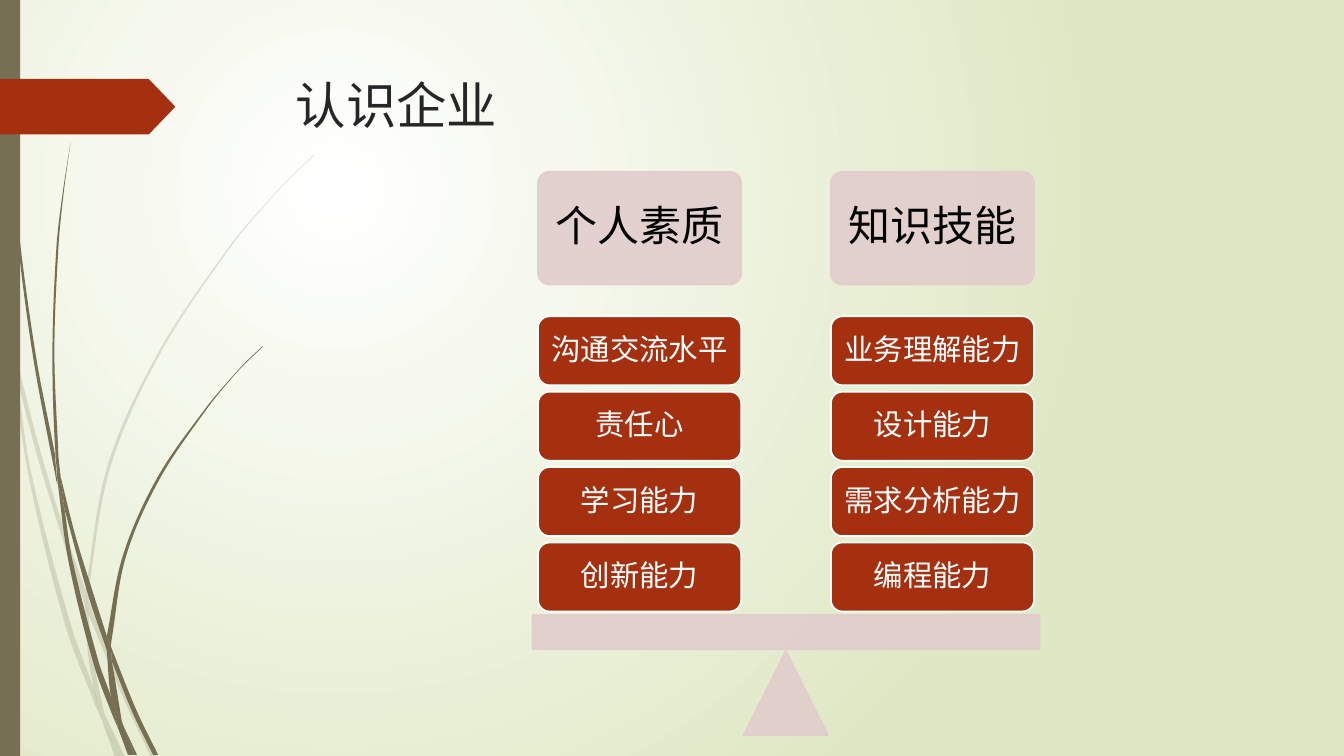
import lxml.etree
import pptx
import pptx.dml.color
import pptx.enum.shapes
import pptx.enum.text
import pptx.oxml
import pptx.oxml.ns
import pptx.util

Cm = pptx.util.Cm
Pt = pptx.util.Pt
Kind = pptx.enum.shapes.MSO_SHAPE
Align = pptx.enum.text.PP_ALIGN
Anchor = pptx.enum.text.MSO_ANCHOR

FONT = "Quicksand"
OLIVE, RUST, ROSE = "766F54", "A53010", "E1CDCC"
WHITE, BLACK, INK, LIME = "FFFFFF", "000000", "262626", "DFE8C4"

FINE = 100  # parts of one step of the stalk grid
UNIT = Cm(0.0254) / FINE

# Each piece of a stalk: one edge running out, the other running back.
PALE = [
    ([(11, 350), (9, 322), (0, 282)], [(0, 299), (10, 344)]),
    ([(14, 345), (36, 433), (62, 520), (85, 586)],
     [(84, 599), (58, 522), (36, 449), (17, 376)]),
    ([(88, 596), (92, 607), (127, 692), (155, 751)],
     [(150, 751), (123, 694), (88, 610)]),
    ([(105, 711), (119, 751)], [(124, 751)]),
    ([(11, 350), (28, 470), (65, 621), (92, 693), (101, 714)],
     [(99, 707), (93, 683), (70, 619), (31, 469), (17, 376)]),
    ([(84, 599), (87, 646), (93, 683), (96, 692), (105, 711)],
     [(103, 706), (91, 646), (88, 610), (88, 608)]),
    ([(312, 153), (289, 175), (268, 197), (228, 244), (158, 348), (107, 461),
      (85, 584), (85, 586)],
     [(88, 596), (88, 584), (110, 462), (160, 349), (229, 245), (268, 198),
      (290, 175), (312, 154)]),
    ([(101, 714), (114, 751)], [(119, 751)]),
    ([(88, 610), (88, 596)], [(85, 586), (84, 599)]),
    ([(93, 683), (99, 707), (101, 714), (119, 751)], [(105, 711), (96, 692)]),
]
DARK = [
    ([(3, 0), (4, 48), (7, 110), (17, 233), (33, 355), (56, 477), (57, 481)],
     [(55, 457), (55, 453), (36, 355), (19, 232), (8, 109), (5, 48), (4, 0)]),
    ([(60, 472), (75, 532), (93, 590), (106, 631)],
     [(106, 645), (88, 592), (64, 505)]),
    ([(110, 641), (113, 649), (136, 706), (157, 749)],
     [(152, 749), (132, 708), (111, 656)]),
    ([(57, 477), (68, 557), (93, 659), (111, 708), (117, 722)],
     [(116, 717), (110, 691), (98, 657), (72, 556), (64, 505)]),
    ([(70, 141), (62, 193), (56, 245), (52, 349), (55, 449), (60, 472)],
     [(58, 453), (54, 349), (58, 245), (63, 193), (70, 141)]),
    ([(122, 719), (133, 749)], [(136, 749)]),
    ([(57, 477), (64, 505)], [(60, 472), (55, 449)]),
    ([(260, 344), (245, 358), (231, 373), (204, 405), (156, 474), (122, 551),
      (106, 631)],
     [(110, 641), (111, 633), (125, 552), (158, 476), (205, 406), (231, 374),
      (245, 359), (261, 344)]),
    ([(117, 722), (127, 749)], [(131, 749)]),
    ([(106, 645), (110, 691), (116, 706), (122, 719)],
     [(121, 716), (111, 656), (109, 651)]),
    ([(106, 631), (106, 645)], [(111, 656), (110, 641)]),
    ([(110, 691), (116, 717), (117, 722), (130, 749)],
     [(133, 749), (122, 719), (116, 706)]),
]

STACKS = [
    ("个人素质", ["沟通交流水平", "责任心", "学习能力", "创新能力"]),
    ("知识技能", ["业务理解能力", "设计能力", "需求分析能力", "编程能力"]),
]


def rgb(code):
    return pptx.dml.color.RGBColor.from_string(code)


def apply(item, values):
    for name, value in values.items():
        setattr(item, name, value)


def fade(shape, share):
    """Make the fill and line of a shape partly clear."""
    for tint in shape._element.spPr.iter(pptx.oxml.ns.qn("a:srgbClr")):
        alpha = lxml.etree.SubElement(tint, pptx.oxml.ns.qn("a:alpha"))
        alpha.set("val", str(share * 1000))


def paint(shape, fill, line=None):
    shape.shadow.inherit = False
    shape.fill.solid()
    shape.fill.fore_color.rgb = rgb(fill)
    if line:
        shape.line.color.rgb = rgb(line)
        shape.line.width = Pt(1.25)
    else:
        shape.line.fill.background()


def block(slide, kind, box, fill, line=None):
    shape = slide.shapes.add_shape(kind, *map(Cm, box))
    paint(shape, fill, line)
    return shape


def write(shape, text, size, color, frame, para):
    apply(shape.text_frame, frame)
    line = shape.text_frame.paragraphs[0]
    line.text = text
    apply(line, para)
    apply(line.font, {"size": Pt(size), "name": FONT})
    line.font.color.rgb = rgb(color)


def label(shape, text, size, color, gap):
    sides = ("left", "right", "top", "bottom")
    frame = {f"margin_{side}": Cm(gap) for side in sides}
    frame.update(word_wrap=True, vertical_anchor=Anchor.MIDDLE)
    write(shape, text, size, color, frame,
          {"alignment": Align.CENTER, "line_spacing": 0.9})


def curve(knots):
    """Bezier points, three a span, of a smooth curve through the knots."""
    ends = [complex(*knot) for knot in (knots[0], *knots, knots[-1])]
    dots = []
    for a, b, c, d in zip(ends, ends[1:], ends[2:], ends[3:]):
        reach = abs(c - b) / 3
        dots += [b + reach * (c - a) / abs(c - a),
                 c - reach * (d - b) / abs(d - b), c]
    return [(dot.real * FINE, dot.imag * FINE) for dot in dots]


def stalk(slide, out, back):
    dots = curve(out) + curve([out[-1], back[0]]) + curve(back)
    pen = slide.shapes.build_freeform(*(FINE * v for v in out[0]), scale=UNIT)
    pen.add_line_segments(dots, close=True)
    shape = pen.convert_to_shape()
    lines = shape._element.xpath(".//a:lnTo")
    for trio in zip(lines[::3], lines[1::3], lines[2::3]):
        bend = pptx.oxml.parse_xml(
            f'<a:cubicBezTo {pptx.oxml.ns.nsdecls("a")}/>')
        trio[0].addprevious(bend)
        for line in trio:
            bend.append(line[0])
            line.getparent().remove(line)
    paint(shape, OLIVE)
    return shape


def glow(slide):
    """Fill the background with a round gradient."""
    fill = slide.background.fill
    fill.gradient()
    for stop, code in zip(fill.gradient_stops, (WHITE, LIME)):
        stop.color.rgb = rgb(code)
    lin = slide._element.xpath(".//p:bg//a:lin")[0]
    ring = pptx.oxml.parse_xml(
        f'<a:path {pptx.oxml.ns.nsdecls("a")} path="circle">'
        '<a:fillToRect l="50000" t="50000" r="100000" b="100000"/></a:path>')
    lin.getparent().replace(lin, ring)


def decor(slide):
    for edges in PALE:
        fade(stalk(slide, *edges), 20)
    for edges in DARK:
        stalk(slide, *edges)
    block(slide, Kind.RECTANGLE, (0, 0, 0.51, 19.05), OLIVE)
    tag = block(slide, Kind.PENTAGON, (0, 1.99, 4.42, 1.4), RUST)
    tag.adjustments[0] = 0.48


def head(slide, text):
    title = slide.shapes.title
    apply(title, {"left": Cm(7.2), "top": Cm(1.73),
                  "width": Cm(24.77), "height": Cm(3.56)})
    write(title, text, 36, INK, {"vertical_anchor": Anchor.TOP},
          {"alignment": Align.LEFT})


def stack(slide, left, name, skills):
    wide = 5.12
    top = block(slide, Kind.ROUNDED_RECTANGLE, (left, 4.33, wide, 2.84),
                ROSE, ROSE)
    top.adjustments[0] = 0.1
    fade(top, 90)
    label(top, name, 30, BLACK, 0.3)
    for row, skill in enumerate(skills):
        card = block(slide, Kind.ROUNDED_RECTANGLE,
                     (left, 7.97 + 1.9 * row, wide, 1.74), RUST, WHITE)
        label(card, skill, 21, WHITE, 0.2)


def scale(slide):
    for kind, box in (
        (Kind.ISOSCELES_TRIANGLE, (18.74, 16.4, 2.13, 2.13)),
        (Kind.RECTANGLE, (13.42, 15.5, 12.78, 0.86)),
    ):
        fade(block(slide, kind, box, ROSE, ROSE), 90)


def main():
    deck = pptx.Presentation()
    apply(deck, {"slide_width": Cm(33.87), "slide_height": Cm(19.05)})
    slide = deck.slides.add_slide(deck.slide_layouts[5])
    glow(slide)
    decor(slide)
    head(slide, "认识企业")
    scale(slide)
    for col, (name, skills) in enumerate(STACKS):
        stack(slide, 13.56 + 7.38 * col, name, skills)
    deck.save("out.pptx")


if __name__ == "__main__":
    main()
